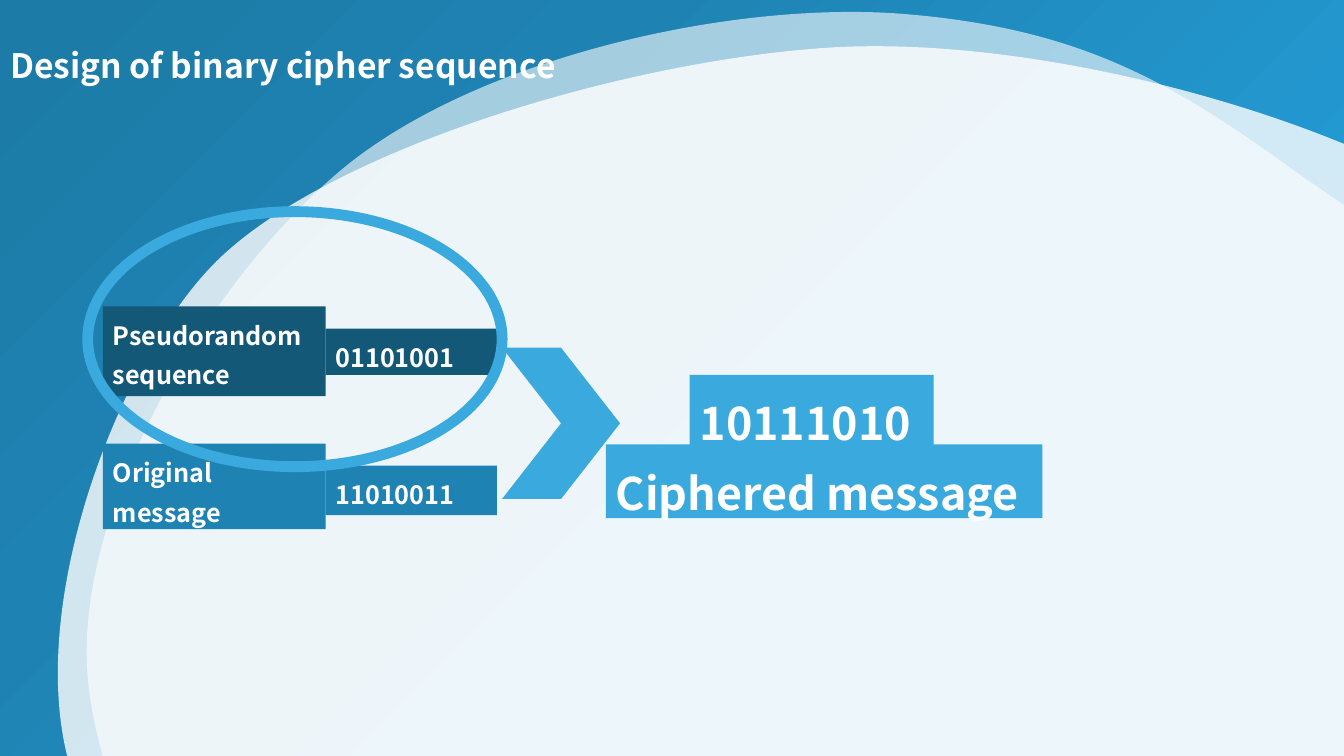
from dataclasses import dataclass

from lxml import etree
from pptx import Presentation
from pptx.dml.color import RGBColor
from pptx.enum.shapes import MSO_SHAPE
from pptx.enum.text import MSO_ANCHOR, MSO_AUTO_SIZE, PP_ALIGN
from pptx.oxml.ns import qn
from pptx.util import Inches, Pt

RECTANGLE, CHEVRON, OVAL = MSO_SHAPE.RECTANGLE, MSO_SHAPE.CHEVRON, MSO_SHAPE.OVAL
TOP, MIDDLE = MSO_ANCHOR.TOP, MSO_ANCHOR.MIDDLE
GROW, FIXED = MSO_AUTO_SIZE.SHAPE_TO_FIT_TEXT, MSO_AUTO_SIZE.NONE
LEFT = PP_ALIGN.LEFT


@dataclass(frozen=True)
class Theme:
    font: str = "Noto Sans CJK SC"
    white: str = "FFFFFF"
    dark: str = "145878"
    medium: str = "1E83B3"
    light: str = "39A9DE"
    backdrop: tuple = ((0, "239CD5"), (23, "239CD5"), (69, "1E83B3"), (97, "1C7BA7"))
    title_size: int = 24
    label_size: int = 18
    result_size: int = 32
    ring_width: float = 7.75


THEME = Theme()

BACK_WAVE = [
    (12.72, 1.61),
    (11.55, 0.77), (10.65, 0.28), (8.98, 0.14),
    (7.31, 0), (4.8, 0.55), (3.44, 1.64),
    (2.09, 2.74), (0.73, 5.04), (0.87, 6.71),
    (1, 8.38), (2.89, 12.02), (4.86, 12.92),
    (6.83, 13.81), (12.43, 13.78), (14.29, 12.49),
    (16.15, 11.21), (16.14, 6.87), (16.01, 5.2),
    (15.87, 3.53), (13.89, 2.46), (12.72, 1.61),
]
FRONT_WAVE = [
    (16.53, 4.46),
    (16.12, 3.42), (15.7, 2.72), (14.32, 1.91),
    (12.94, 1.1), (10.29, 0.36), (8.27, 0.47),
    (6.24, 0.59), (3.29, 1.47), (2.15, 2.59),
    (1.02, 3.71), (-0.06, 6.84), (1.02, 8.27),
    (2.09, 9.69), (7.09, 12.09), (9.71, 12.07),
    (12.33, 12.06), (15.6, 9.29), (16.74, 8.17),
    (17.88, 7.05), (16.93, 5.51), (16.53, 4.46),
]


def fill_solid(shape, color):
    shape.shadow.inherit = False
    shape.fill.solid()
    shape.fill.fore_color.rgb = RGBColor.from_string(color)
    shape.line.fill.background()


def add_panel(slide, kind, box, color):
    panel = slide.shapes.add_shape(kind, *map(Inches, box))
    fill_solid(panel, color)
    return panel


def write_lines(frame, lines, size, spacing):
    for index, line in enumerate(lines):
        paragraph = frame.paragraphs[0] if index == 0 else frame.add_paragraph()
        paragraph.alignment = LEFT
        paragraph.line_spacing = spacing
        run = paragraph.add_run()
        run.text = line
        run.font.name = THEME.font
        run.font.size = Pt(size)
        run.font.bold = True
        run.font.color.rgb = RGBColor.from_string(THEME.white)


def add_label(slide, box, color, lines, size, wrap=True):
    label = add_panel(slide, RECTANGLE, box, color)
    frame = label.text_frame
    frame.word_wrap = wrap
    frame.auto_size = GROW
    frame.vertical_anchor = TOP
    write_lines(frame, lines, size, 1.3)


def add_wave(slide, box, points, opacity):
    left, top = box[:2]
    corners = [(Inches(left + x), Inches(top + y)) for x, y in points]
    builder = slide.shapes.build_freeform(*corners[0])
    builder.add_line_segments(corners[1:], close=True)
    wave = builder.convert_to_shape()
    fill_solid(wave, THEME.white)
    color = wave.element.spPr.find(".//" + qn("a:srgbClr"))
    etree.SubElement(color, qn("a:alpha"), val=str(opacity * 1000))
    segments = list(wave.element.iter(qn("a:lnTo")))
    for start in range(0, len(segments), 3):
        curve = etree.Element(qn("a:cubicBezTo"))
        segments[start].addprevious(curve)
        for segment in segments[start:start + 3]:
            curve.append(segment[0])
            segment.getparent().remove(segment)


def add_backdrop(slide, box):
    backdrop = add_panel(slide, RECTANGLE, box, THEME.medium)
    backdrop.fill.gradient()
    backdrop.fill.gradient_angle = 135
    stops = backdrop.element.spPr.find(".//" + qn("a:gsLst"))
    for stop in list(stops):
        stops.remove(stop)
    for position, color in THEME.backdrop:
        stop = etree.SubElement(stops, qn("a:gs"), pos=str(position * 1000))
        etree.SubElement(stop, qn("a:srgbClr"), val=color)
    add_wave(slide, box, BACK_WAVE, 60)
    add_wave(slide, box, FRONT_WAVE, 80)


def add_title(slide, box):
    title = slide.shapes.title
    title.left, title.top, title.width, title.height = map(Inches, box)
    frame = title.text_frame
    frame.word_wrap = True
    frame.auto_size = FIXED
    frame.vertical_anchor = MIDDLE
    write_lines(frame, ["Design of binary cipher sequence"], THEME.title_size, 0.9)
    frame.paragraphs[0].space_before = Pt(10)
    slide.shapes.element.append(title.element)


def add_inputs(slide, box):
    left, top, width, height = box
    name_width = 2.21
    inputs = [
        (height - 0.85, 0.85, 0.49, THEME.medium, ["Original", "message"], "11010011"),
        (0, 0.89, 0.46, THEME.dark, ["Pseudorandom", "sequence"], "01101001"),
    ]
    for offset, name_height, bits_height, color, name, bits in inputs:
        y = top + offset
        add_label(slide, (left, y, name_width, name_height), color, name, THEME.label_size)
        bits_box = (left + name_width, y + 0.22, width - name_width, bits_height)
        add_label(slide, bits_box, color, [bits], THEME.label_size)


def add_result(slide, box):
    left, top, width, height = box
    row_height = 0.73
    bits_box = (left + 0.83, top, 2.42, row_height)
    caption_box = (left, top + height - row_height, width, row_height)
    for row_box, text in [(bits_box, "10111010"), (caption_box, "Ciphered message")]:
        add_label(slide, row_box, THEME.light, [text], THEME.result_size, wrap=False)


def add_ring(slide, box):
    ring = add_panel(slide, OVAL, box, THEME.light)
    ring.fill.background()
    ring.line.color.rgb = RGBColor.from_string(THEME.light)
    ring.line.width = Pt(THEME.ring_width)


def main():
    deck = Presentation()
    deck.slide_width, deck.slide_height = Inches(13.33), Inches(7.5)
    slide = deck.slides.add_slide(deck.slide_layouts[5])
    add_backdrop(slide, (0, 0, 13.33, 7.5))
    add_title(slide, (0, 0.28, 5.8, 0.79))
    add_inputs(slide, (1.02, 3.04, 3.91, 2.21))
    add_panel(slide, CHEVRON, (4.98, 3.45, 1.17, 1.5), THEME.light)
    add_result(slide, (6.01, 3.72, 4.33, 1.42))
    add_ring(slide, (0.87, 2.1, 4.11, 2.53))
    deck.save("out.pptx")


if __name__ == "__main__":
    main()
